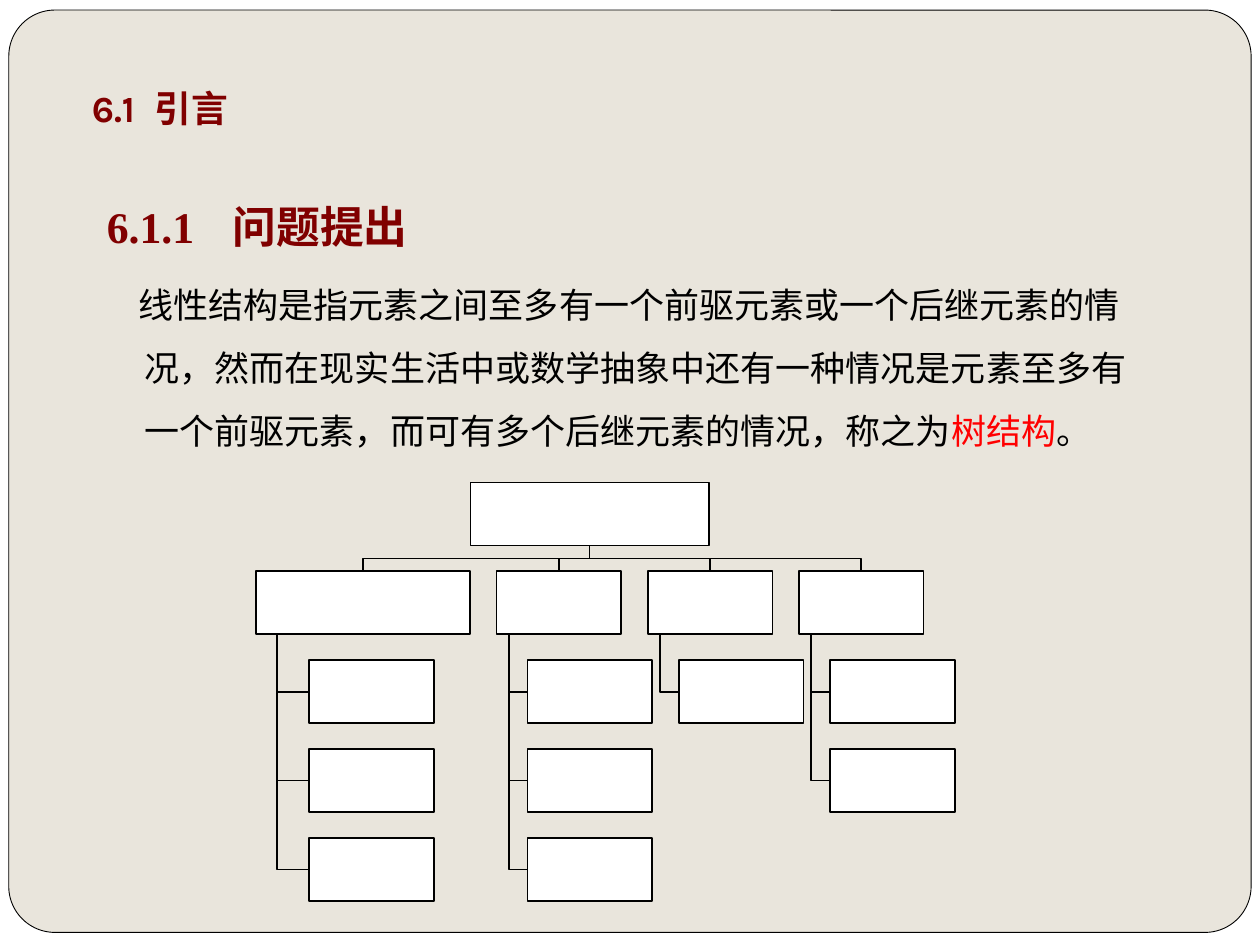
from dataclasses import dataclass

from lxml.etree import SubElement
from pptx import Presentation
from pptx.dml.color import RGBColor
from pptx.enum.shapes import MSO_SHAPE
from pptx.enum.text import MSO_ANCHOR
from pptx.oxml.ns import qn
from pptx.util import Inches, Pt

SECTION = "6.1\t引言"
HEADING = "6.1.1\t问题提出"
DEFINITION = [
    ("线性结构是指元素之间至多有一个前驱元素或一个后继元素的情况，然而在现实生活中或数学抽象中"
     "还有一种情况是元素至多有一个前驱元素，而可有多个后继元素的情况，称之为", "ink"),
    ("树结构", "accent"),
    ("。", "ink"),
]
BRANCHES = [
    {"width": 1.7, "leaves": 3},
    {"width": 0.99, "leaves": 3},
    {"width": 0.99, "leaves": 1},
    {"width": 0.99, "leaves": 2},
]
TREE_LEFT, TREE_TOP = 2.03, 3.83
ROOT_WIDTH, LEAF_WIDTH, NODE_HEIGHT = 1.89, 0.99, 0.5
GAP = 0.21
ROW_PITCH = 0.705


@dataclass(frozen=True)
class Theme:
    """Colours, fonts and sizes of the slide."""
    ink: RGBColor = RGBColor(0x00, 0x00, 0x00)
    accent: RGBColor = RGBColor(0xFF, 0x00, 0x00)
    heading: RGBColor = RGBColor(0x80, 0x00, 0x00)
    paper: RGBColor = RGBColor(0xFF, 0xFF, 0xFF)
    panel: RGBColor = RGBColor(0xE9, 0xE5, 0xDC)
    section_font: str = "Karla"
    body_font: str = "Times New Roman"
    section_size: float = 21
    heading_size: float = 25
    body_size: float = 20


THEME = Theme()


def add_box(slide, kind, left, top, width, height, fill, line_width):
    box = slide.shapes.add_shape(
        kind, Inches(left), Inches(top), Inches(width), Inches(height))
    box.shadow.inherit = False
    box.fill.solid()
    box.fill.fore_color.rgb = fill
    box.line.color.rgb = THEME.ink
    box.line.width = Pt(line_width)
    return box


def add_node(slide, left, row, width):
    add_box(slide, MSO_SHAPE.RECTANGLE, left, TREE_TOP + row * ROW_PITCH,
            width, NODE_HEIGHT, THEME.paper, 1)


def add_link(slide, points):
    start, *rest = [(Inches(x), Inches(y)) for x, y in points]
    builder = slide.shapes.build_freeform(*start)
    builder.add_line_segments(rest, close=False)
    link = builder.convert_to_shape()
    link.shadow.inherit = False
    link.fill.background()
    link.line.color.rgb = THEME.ink
    link.line.width = Pt(1)


def add_text_frame(slide, left, top, width, height):
    frame = slide.shapes.add_textbox(
        Inches(left), Inches(top), Inches(width), Inches(height)).text_frame
    frame.word_wrap = True
    return frame


def set_indent(paragraph, margin, first_line, tab=None):
    properties = paragraph._p.get_or_add_pPr()
    properties.set("marL", str(Inches(margin)))
    properties.set("indent", str(Inches(first_line)))
    if tab:
        stops = SubElement(properties, qn("a:tabLst"))
        SubElement(stops, qn("a:tab"), pos=str(Inches(tab)), algn="l")


def style(run, font, size, color, bold=False):
    run.font.name = font
    run.font.size = Pt(size)
    run.font.color.rgb = color
    run.font.bold = bold


def add_section(slide):
    frame = add_text_frame(slide, 0.63, 0.33, 8.75, 0.8)
    frame.vertical_anchor = MSO_ANCHOR.BOTTOM
    frame.margin_bottom = Inches(0.1)
    section = frame.paragraphs[0]
    section.text = SECTION
    set_indent(section, 0, 0, tab=0.57)
    style(section.runs[0], THEME.section_font, THEME.section_size, THEME.heading, True)


def add_body(slide):
    frame = add_text_frame(slide, 0.75, 1.33, 8.5, 3.28)
    heading = frame.paragraphs[0]
    heading.text = HEADING
    heading.line_spacing = 1.5
    set_indent(heading, 0, 0, tab=1.03)
    style(heading.runs[0], THEME.body_font, THEME.heading_size, THEME.heading, True)

    definition = frame.add_paragraph()
    definition.line_spacing = 1.5
    definition.space_before = Pt(5.8)
    set_indent(definition, 0.3, -0.05)
    for words, color in DEFINITION:
        run = definition.add_run()
        run.text = words
        style(run, THEME.body_font, THEME.body_size, getattr(THEME, color))


def add_tree(slide):
    tree_width = sum(b["width"] for b in BRANCHES) + GAP * (len(BRANCHES) - 1)
    center = TREE_LEFT + tree_width / 2
    root_bottom = TREE_TOP + NODE_HEIGHT
    branch_top = TREE_TOP + ROW_PITCH
    bus = (root_bottom + branch_top) / 2
    nodes = [(center - ROOT_WIDTH / 2, 0, ROOT_WIDTH)]
    left = TREE_LEFT
    for branch in BRANCHES:
        width = branch["width"]
        middle, trunk, leaf_left = left + width / 2, left + width * 0.1, left + width * 0.25
        add_link(slide, [(center, root_bottom), (center, bus),
                         (middle, bus), (middle, branch_top)])
        nodes.append((left, 1, width))
        for row in range(2, 2 + branch["leaves"]):
            leaf_middle = TREE_TOP + row * ROW_PITCH + NODE_HEIGHT / 2
            add_link(slide, [(trunk, branch_top + NODE_HEIGHT),
                             (trunk, leaf_middle), (leaf_left, leaf_middle)])
            nodes.append((leaf_left, row, LEAF_WIDTH))
        left += width + GAP
    for node in nodes:
        add_node(slide, *node)


def main():
    """Build the slide that introduces tree structures."""
    deck = Presentation()
    deck.slide_width, deck.slide_height = Inches(10), Inches(7.5)
    slide = deck.slides.add_slide(deck.slide_layouts[6])
    slide.background.fill.solid()
    slide.background.fill.fore_color.rgb = THEME.paper
    panel = add_box(slide, MSO_SHAPE.ROUNDED_RECTANGLE,
                    0.07, 0.08, 9.86, 7.32, THEME.panel, 0.5)
    panel.adjustments[0] = 0.05
    add_section(slide)
    add_body(slide)
    add_tree(slide)
    deck.save("out.pptx")


if __name__ == "__main__":
    main()
